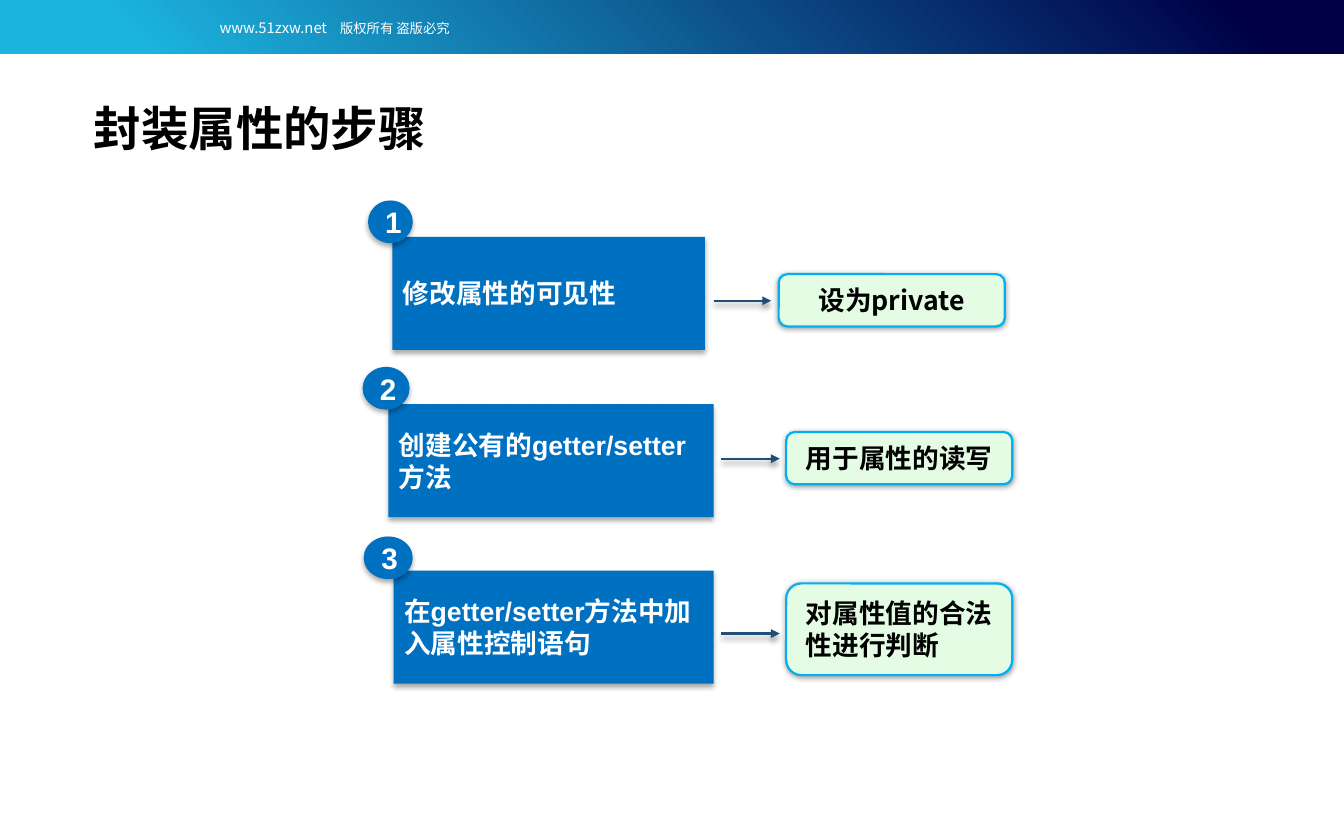
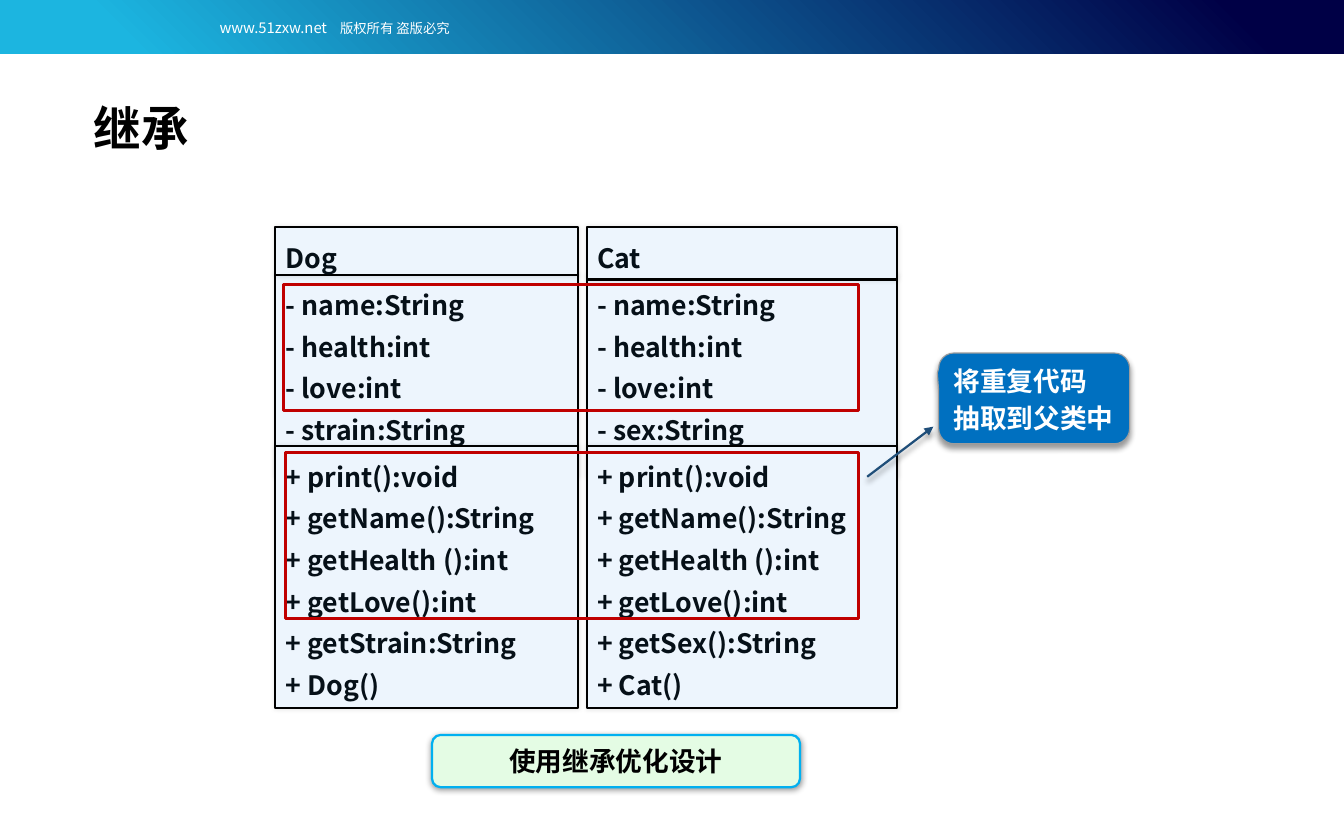
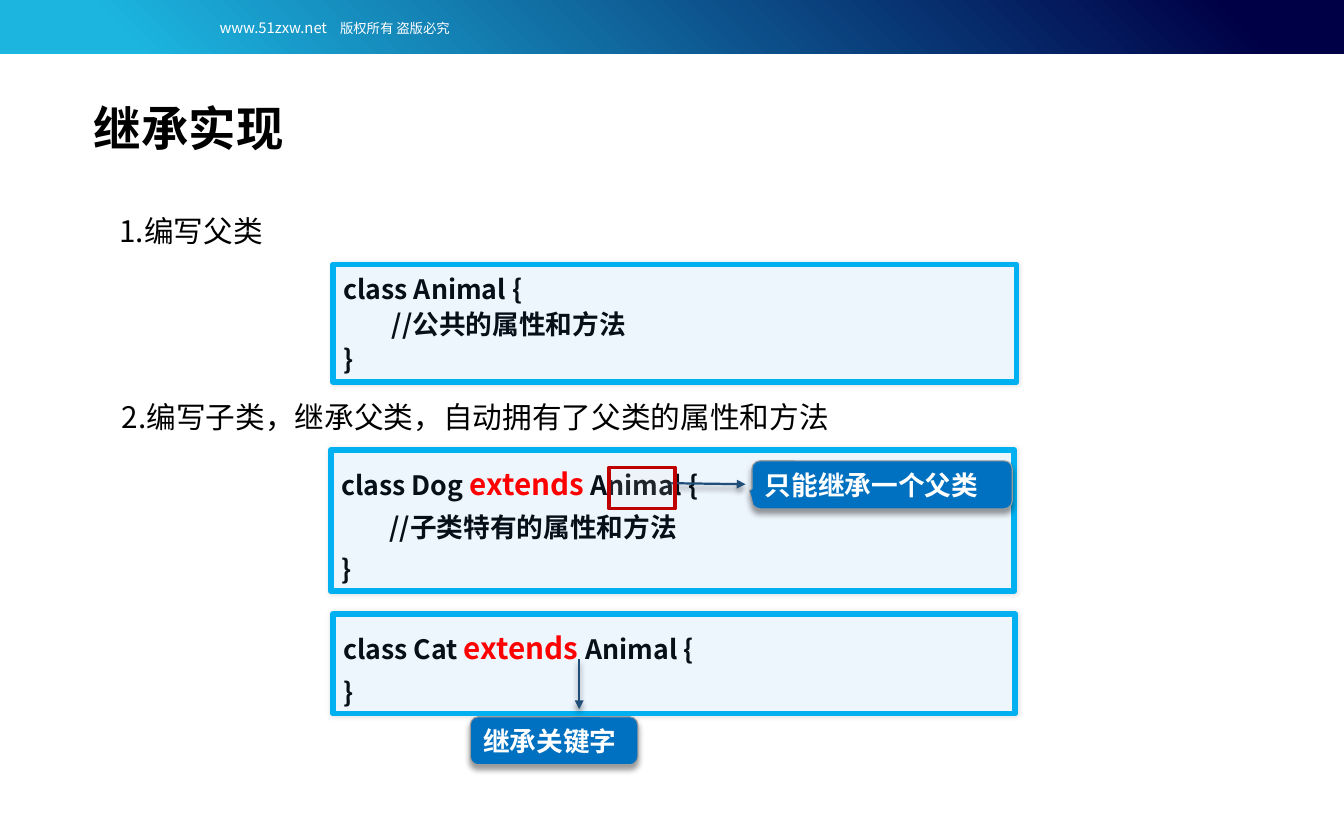
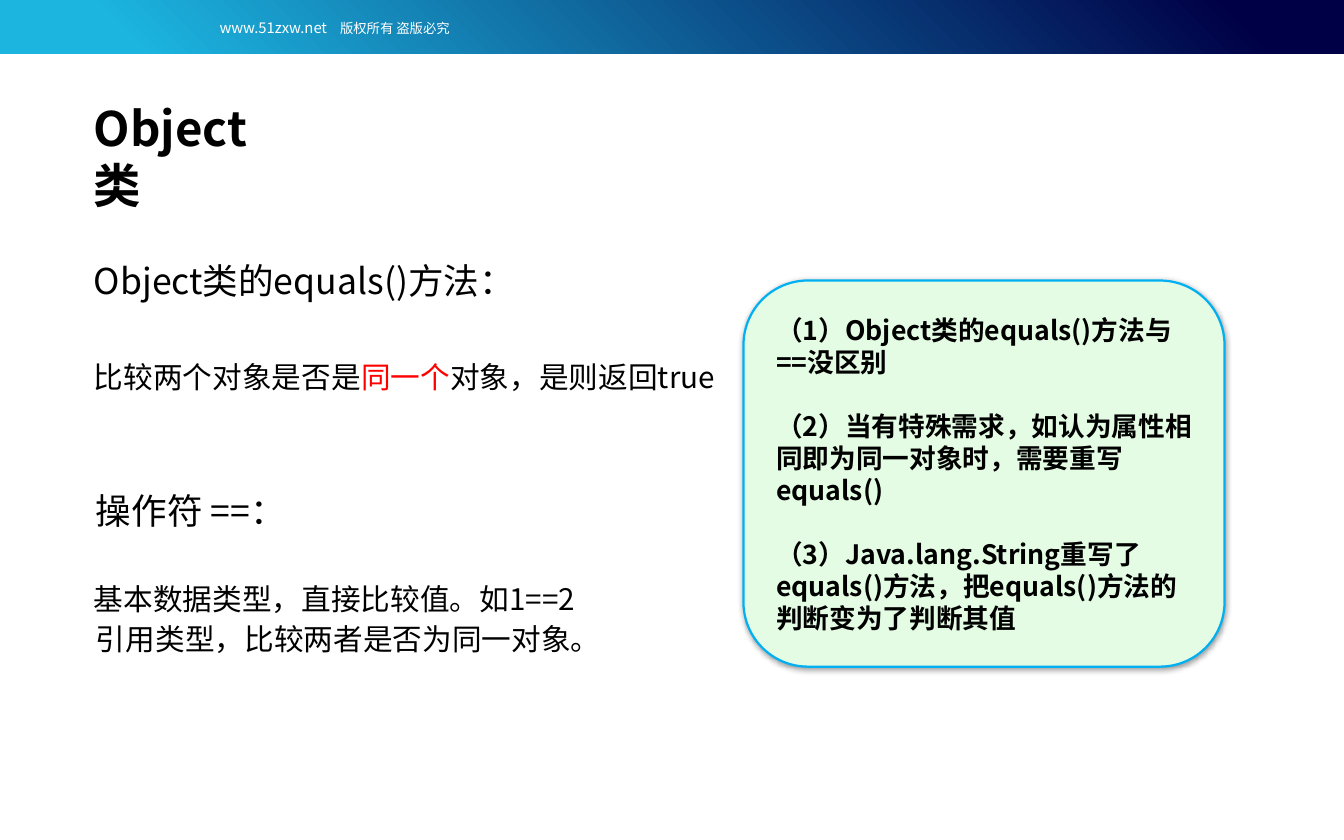
from pptx import Presentation
from pptx.dml.color import RGBColor
from pptx.enum import shapes, text
from pptx.oxml import parse_xml
from pptx.oxml.ns import qn
from pptx.util import Inches, Pt

BLACK = RGBColor(0, 0, 0)
WHITE = RGBColor(255, 255, 255)
RED = RGBColor(255, 0, 0)
BLUE = RGBColor(0x00, 0x70, 0xC0)
SKY = RGBColor(0x00, 0xB0, 0xF0)
MINT = RGBColor(0xE4, 0xFC, 0xE4)
PALE = RGBColor(0xED, 0xF5, 0xFD)
INK = RGBColor(0x06, 0x10, 0x18)
NAVY = RGBColor(0x1F, 0x4E, 0x79)
CRIMSON = RGBColor(0xC0, 0, 0)
PINK = RGBColor(0xFF, 0xDD, 0xDD)
GRAY = RGBColor(0x9D, 0x9D, 0x9D)
DEEP = RGBColor(0, 0, 0x46)
CYAN = RGBColor(0x1C, 0xB5, 0xE0)

WIDE = 12.6
HIGH = WIDE * 10 / 16
NOTO = "Noto Sans CJK SC"
NS = 'xmlns:a="http://schemas.openxmlformats.org/drawingml/2006/main"'
KIND = shapes.MSO_SHAPE
TOP, MID, LOW = text.MSO_ANCHOR.TOP, text.MSO_ANCHOR.MIDDLE, text.MSO_ANCHOR.BOTTOM

BASE = {"size": 18, "bold": True, "name": NOTO, "color": BLACK}
CODE = {**BASE, "color": INK}
LABEL = {**BASE, "name": "Arial", "color": WHITE}
HEAD = {**BASE, "size": 32}
PLAIN = {**BASE, "size": 20, "bold": False}
FOOT = {**PLAIN, "size": 10, "color": WHITE}

STEP = {"kind": KIND.RECTANGLE, "fill": BLUE, "shade": (32, 3.5, 2.2, 90), "font": LABEL, "anchor": MID}
BADGE = {**STEP, "kind": KIND.OVAL, "font": {**LABEL, "size": 20}}
NOTE = {"kind": KIND.ROUNDED_RECTANGLE, "adj": [0.167], "fill": MINT, "line": (SKY, 1.5),
        "shade": (40, 4, 1, 90), "font": BASE, "anchor": MID, "block": True}
CLASS = {"kind": KIND.RECTANGLE, "fill": PALE, "line": (BLACK, 1.5), "shade": (10, 3, 0, 0),
         "font": CODE, "lead": 1.3}
CARD = {**CLASS, "kind": KIND.ROUNDED_RECTANGLE, "adj": [0], "line": (SKY, 4)}
FRAME = {"kind": KIND.RECTANGLE, "line": (CRIMSON, 2.25)}
TIP = {"kind": KIND.ROUNDED_RECTANGULAR_CALLOUT, "fill": BLUE, "line": (GRAY, 0.75),
       "shade": (40, 4, 3, 90), "font": LABEL, "anchor": LOW, "gaps": [0, 3.6], "tight": True}

STEPS = [
    ("修改属性的可见性", (3.68, 2.22, 2.93, 1.06), (3.45, 1.88, 0.42, 0.4),
     "设为private", (7.3, 2.57, 2.12, 0.49), (6.69, 2.82, 7.23, 2.82)),
    ("创建公有的getter/setter方法", (3.64, 3.79, 3.05, 1.06), (3.4, 3.44, 0.44, 0.4),
     "用于属性的读写", (7.37, 4.05, 2.12, 0.49), (6.76, 4.3, 7.31, 4.3)),
    ("在getter/setter方法中加入属性控制语句", (3.69, 5.35, 3, 1.06), (3.41, 5.03, 0.46, 0.4),
     "对属性值的合法性进行判断", (7.37, 5.47, 2.12, 0.86), (6.76, 5.94, 7.31, 5.94)),
]
FIELDS = ["- name:String", "- health:int", "- love:int"]
CALLS = ["+ print():void", "+ getName():String", "+ getHealth ():int", "+ getLove():int"]
UML = [
    ("Cat", 5.5, 2.91, 0.49, "- sex:String", "+ getSex():String"),
    ("Dog", 2.58, 2.84, 0.45, "- strain:String", "+ getStrain:String"),
]
SHARED = [(2.66, 2.67, 5.39, 1.18), (2.68, 4.24, 5.37, 1.56)]
EXT = {"size": 20, "color": RED}
CARDS = [
    ((3.12, 2.48, 6.41, 1.1), 1.1, ["class Animal {", "        //公共的属性和方法", "}"]),
    ((3.1, 4.22, 6.41, 1.32), 1.3,
     [["class Dog ", ("extends", EXT), " Animal {"], "        //子类特有的属性和方法", "}"]),
    ((3.12, 5.76, 6.4, 0.93), 1.3, [["class Cat ", ("extends ", EXT), "Animal {"], "}"]),
]
TIPS = [
    ("只能继承一个父类", (7.05, 4.32, 2.44, 0.45), [-0.51, 0.122, 0.167], (6.29, 4.53, 6.99, 4.54)),
    ("继承关键字", (4.41, 6.72, 1.57, 0.45), [0.168, -0.506, 0.167], (5.43, 6.18, 5.43, 6.65)),
]
TASKS = ["1.编写父类", "2.编写子类，继承父类，自动拥有了父类的属性和方法"]
BIG = {"size": 24}
EQUALS = [
    [("Object类的equals()方法：", BIG)],
    ["比较两个对象是否是", ("同一个", {"color": RED}), "对象，是则返回true"],
    [("操作符 ==：", BIG)],
    "基本数据类型，直接比较值。如1==2",
    "引用类型，比较两者是否为同一对象。",
]
RULES = [
    "（1）Object类的equals()方法与==没区别",
    "（2）当有特殊需求，如认为属性相同即为同一对象时，需要重写equals()",
    "（3）Java.lang.String重写了equals()方法，把equals()方法的判断变为了判断其值",
]


def put(obj, **vals):
    for key, val in vals.items():
        setattr(obj, key, val)


def place(obj, box):
    put(obj, **dict(zip(("left", "top", "width", "height"), map(Inches, box))))


def style(run, fmt):
    put(run.font, size=Pt(fmt["size"]), bold=fmt["bold"], name=fmt["name"])
    run.font.color.rgb = fmt["color"]
    latin = run._r.rPr.find(qn("a:latin"))
    latin.addnext(parse_xml(f'<a:ea {NS} typeface="{NOTO}"/>'))


def write(obj, paras, font, anchor=TOP, lead=None, gaps=(), dents=None, block=False, tight=False):
    frame = obj.text_frame
    put(frame, word_wrap=True, auto_size=text.MSO_AUTO_SIZE.NONE, vertical_anchor=anchor)
    if tight:
        frame.margin_right = 0
    if block:
        frame._txBody.bodyPr.set("anchorCtr", "1")
    for i, para in enumerate(paras):
        line = frame.paragraphs[0] if i == 0 else frame.add_paragraph()
        if dents:
            props = line._p.get_or_add_pPr()
            props.set("marL", str(Inches(dents[i])))
            props.set("indent", "0")
            props.append(parse_xml(f"<a:buNone {NS}/>"))
        put(line, alignment=text.PP_ALIGN.LEFT, space_before=Pt(gaps[i] if i < len(gaps) else 0))
        if lead:
            line.line_spacing = lead
        for part in [para] if isinstance(para, str) else para:
            words, extra = (part, {}) if isinstance(part, str) else part
            run = line.add_run()
            run.text = words
            style(run, {**font, **extra})


def shade(obj, vals=None):
    glow = ""
    if vals:
        alpha, blur, dist, angle = vals
        glow = (f'<a:outerShdw blurRad="{Pt(blur)}" dist="{Pt(dist)}" dir="{angle * 60000}" '
                f'algn="ctr" rotWithShape="0"><a:srgbClr val="000000">'
                f'<a:alpha val="{alpha * 1000}"/></a:srgbClr></a:outerShdw>')
    obj._element.spPr.append(parse_xml(f"<a:effectLst {NS}>{glow}</a:effectLst>"))


def draw(slide, box, look, paras=(), **more):
    look = {**look, **more}
    obj = slide.shapes.add_shape(look.pop("kind"), *map(Inches, box))
    for i, val in enumerate(look.pop("adj", [])):
        obj.adjustments[i] = val
    fill, line, glow = (look.pop(key, None) for key in ("fill", "line", "shade"))
    if fill is None:
        obj.fill.background()
    else:
        obj.fill.solid()
        obj.fill.fore_color.rgb = fill
    if line:
        obj.line.color.rgb = line[0]
        obj.line.width = Pt(line[1])
    else:
        obj.line.fill.background()
    shade(obj, glow)
    if paras:
        write(obj, paras, **look)
    return obj


def arrow(slide, ends):
    line = slide.shapes.add_connector(shapes.MSO_CONNECTOR.STRAIGHT, *map(Inches, ends))
    line.line.color.rgb = NAVY
    line.line.width = Pt(1.5)
    line.line._get_or_add_ln().append(parse_xml(f'<a:tailEnd {NS} type="triangle"/>'))
    shade(line, (40, 4, 3, 90))


def band(slide):
    bar = draw(slide, (5.95, -6.19, 0.7, 12.69), {"kind": KIND.RECTANGLE})
    bar.rotation = 90
    bar.fill.gradient()
    bar.fill.gradient_angle = 315
    for stop, (spot, color) in zip(bar.fill.gradient_stops, [(0.1, DEEP), (0.9, CYAN)]):
        stop.position = spot
        stop.color.rgb = color
    foot = slide.shapes.add_textbox(*map(Inches, (1.96, 0.08, 4, 0.32)))
    props = foot.text_frame.paragraphs[0]._p.get_or_add_pPr()
    props.append(parse_xml(f'<a:tabLst {NS}><a:tab pos="{Inches(1.13)}" algn="l"/></a:tabLst>'))
    write(foot, [["www.51zxw.net", ("\t版权所有 盗版必究", {"size": 9})]], FOOT, lead=1.3)


def start(deck, title, body=False, width=10):
    slide = deck.slides.add_slide(deck.slide_layouts[1 if body else 5])
    band(slide)
    head = slide.shapes.title
    place(head, (0.78, 0.88, width, 0.64))
    write(head, [title], HEAD)
    return slide


def steps(deck):
    slide = start(deck, "封装属性的步骤")
    for i, (task, box, dot, note, side, ends) in enumerate(STEPS, 1):
        draw(slide, box, STEP, [task])
        draw(slide, dot, BADGE, [str(i)])
        draw(slide, side, NOTE, [note])
        arrow(slide, ends)


def classes(deck):
    slide = start(deck, "继承")
    for name, left, width, high, field, call in UML:
        draw(slide, (left, 2.57, width, 1.9), CLASS, FIELDS + [field])
        draw(slide, (left, 2.13, width, high), CLASS, [name])
        draw(slide, (left, 4.18, width, 2.46), CLASS, CALLS + [call, f"+ {name}()"])
    for box in SHARED:
        draw(slide, box, FRAME)
    draw(slide, (8.8, 3.31, 1.79, 0.85), TIP, ["将重复代码", "抽取到父类中"], adj=[-0.507, -0.28, 0.167])
    arrow(slide, (8.13, 4.47, 8.75, 4))
    draw(slide, (4.05, 6.89, 3.45, 0.49), NOTE, ["使用继承优化设计"])


def extends(deck):
    slide = start(deck, "继承实现", body=True)
    body = slide.placeholders[1]
    place(body, (1.02, 1.98, 8.36, 2.3))
    write(body, TASKS, PLAIN, lead=0.9, gaps=[0, 104.4], dents=[0, 0.02])
    for box, lead, code in CARDS:
        draw(slide, box, CARD, code, lead=lead)
    for words, box, adj, ends in TIPS:
        draw(slide, box, TIP, [words], adj=adj)
        arrow(slide, ends)
    mark = draw(slide, (5.71, 4.38, 0.62, 0.39), FRAME, fill=PINK)
    tint = mark._element.spPr.find(qn("a:solidFill"))[0]
    tint.append(parse_xml(f'<a:alpha {NS} val="10000"/>'))


def equals(deck):
    slide = start(deck, "Object类", body=True, width=1.99)
    body = slide.placeholders[1]
    place(body, (0.78, 2.42, 6.51, 3.82))
    write(body, EQUALS, PLAIN, lead=0.9, gaps=[0, 41, 66.8, 35.9, 5], dents=[0, 0, 0.02, 0, 0.02])
    draw(slide, (6.97, 2.63, 4.51, 3.62), NOTE, RULES, gaps=[0, 21.6, 21.6])


def main():
    deck = Presentation()
    deck.slide_width = Inches(WIDE)
    deck.slide_height = Inches(HIGH)
    for build in (steps, classes, extends, equals):
        build(deck)
    deck.save("out.pptx")


if __name__ == "__main__":
    main()
